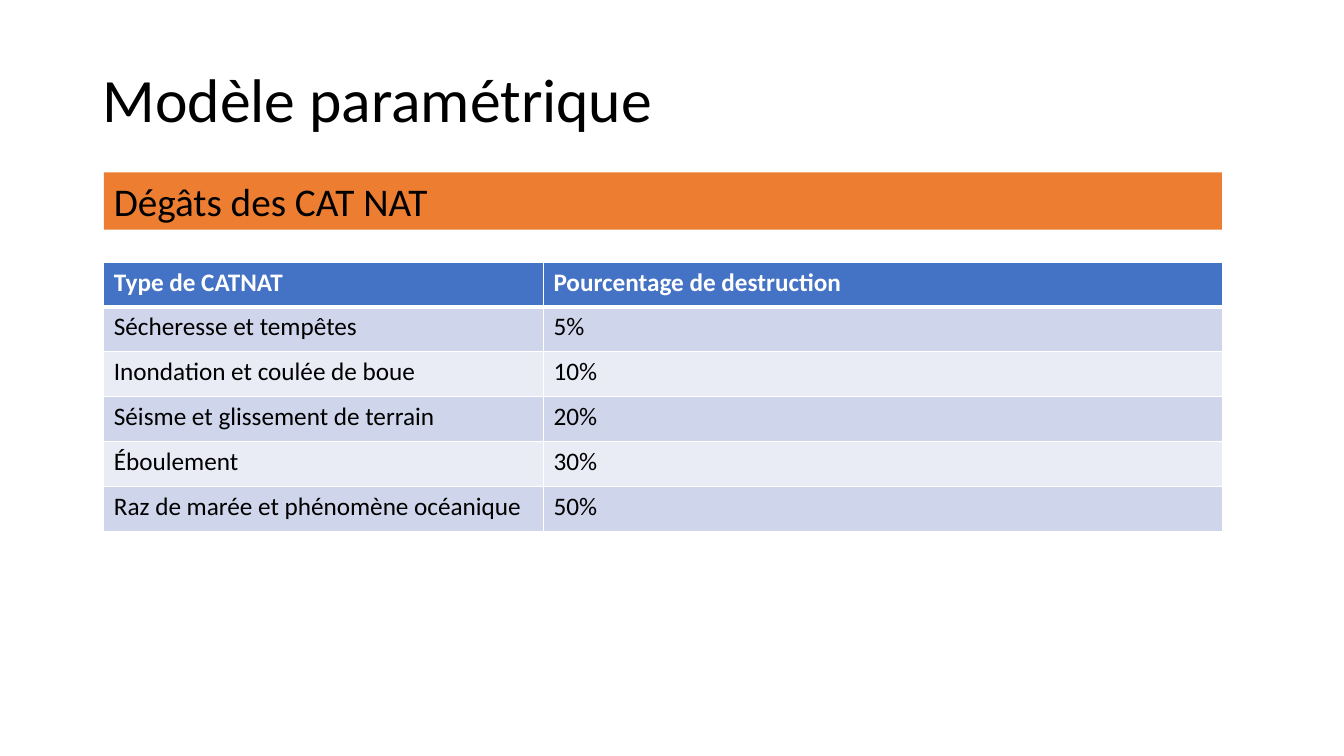
from dataclasses import dataclass

from lxml import etree
from pptx import Presentation
from pptx.dml.color import RGBColor
from pptx.enum.shapes import MSO_SHAPE
from pptx.enum.text import MSO_ANCHOR, PP_ALIGN
from pptx.oxml.ns import qn
from pptx.slide import Slide
from pptx.table import _Cell
from pptx.text.text import TextFrame
from pptx.util import Inches, Pt

RECTANGLE = MSO_SHAPE.RECTANGLE
MIDDLE = MSO_ANCHOR.MIDDLE
LEFT = PP_ALIGN.LEFT

WIDTH, HEIGHT = 13.33, 7.5
FONT = "Calibri"
BLACK, WHITE = "000000", "FFFFFF"
ORANGE, BLUE = "ED7D31", "4472C4"
BANDS = ("CFD5EA", "E9EBF5")
THIN, THICK = 1, 3


@dataclass(frozen=True)
class Box:
    left: float
    top: float
    width: float
    height: float

    def lengths(self) -> tuple[int, int, int, int]:
        return (Inches(self.left * WIDTH), Inches(self.top * HEIGHT),
                Inches(self.width * WIDTH), Inches(self.height * HEIGHT))


@dataclass(frozen=True)
class Damage:
    kind: str
    share: str


TITLE_BOX = Box(0.92 / WIDTH, 0.4 / HEIGHT, 11.5 / WIDTH, 1.23 / HEIGHT)
BANNER_BOX = Box(1.03 / WIDTH, 1.71 / HEIGHT, 11.09 / WIDTH, 0.57 / HEIGHT)
TABLE_BOX = Box(1.03 / WIDTH, 2.6 / HEIGHT, 11.1 / WIDTH, 2.67 / HEIGHT)
KIND_SHARE = 4.36 / 11.1

HEADER = Damage("Type de CATNAT", "Pourcentage de destruction")
DAMAGES = (
    Damage("Sécheresse et tempêtes", "5%"),
    Damage("Inondation et coulée de boue", "10%"),
    Damage("Séisme et glissement de terrain", "20%"),
    Damage("Éboulement", "30%"),
    Damage("Raz de marée et phénomène océanique", "50%"),
)


def rgb(value: str) -> RGBColor:
    return RGBColor.from_string(value)


def write(tf: TextFrame, text: str, size: float, color: str = BLACK, bold: bool = False) -> None:
    p = tf.paragraphs[0]
    p.text = text
    p.alignment = LEFT
    p.font.name = FONT
    p.font.size = Pt(size)
    p.font.bold = bold
    p.font.color.rgb = rgb(color)


def add_title(s: Slide, text: str) -> None:
    tf = s.shapes.add_textbox(*TITLE_BOX.lengths()).text_frame
    tf.word_wrap = True
    tf.vertical_anchor = MIDDLE
    write(tf, text, 44)
    tf.paragraphs[0].line_spacing = 0.9


def add_banner(s: Slide, text: str) -> None:
    sp = s.shapes.add_shape(RECTANGLE, *BANNER_BOX.lengths())
    sp.shadow.inherit = False
    sp.fill.solid()
    sp.fill.fore_color.rgb = rgb(ORANGE)
    sp.line.fill.background()
    sp.text_frame.word_wrap = True
    sp.text_frame.vertical_anchor = MSO_ANCHOR.TOP
    write(sp.text_frame, text, 28)


def set_borders(cell: _Cell, top: float, bottom: float) -> None:
    tc_pr = cell._tc.get_or_add_tcPr()
    for side, width in (("L", THIN), ("R", THIN), ("T", top), ("B", bottom)):
        line = etree.SubElement(tc_pr, qn(f"a:ln{side}"), w=str(Pt(width)))
        fill = etree.SubElement(line, qn("a:solidFill"))
        etree.SubElement(fill, qn("a:srgbClr"), val=WHITE)


def add_damage_table(s: Slide, rows: tuple[Damage, ...]) -> None:
    table = s.shapes.add_table(len(rows), 2, *TABLE_BOX.lengths()).table
    for column, share in zip(table.columns, (KIND_SHARE, 1 - KIND_SHARE)):
        column.width = Inches(TABLE_BOX.width * WIDTH * share)
    for i, row in enumerate(rows):
        is_header = i == 0
        for j, text in enumerate((row.kind, row.share)):
            cell = table.cell(i, j)
            set_borders(cell, THICK if i == 1 else THIN, THICK if is_header else THIN)
            cell.fill.solid()
            cell.fill.fore_color.rgb = rgb(BLUE if is_header else BANDS[(i - 1) % 2])
            write(cell.text_frame, text, 18, WHITE if is_header else BLACK, is_header)


def main() -> None:
    prs = Presentation()
    prs.slide_width, prs.slide_height = Inches(WIDTH), Inches(HEIGHT)
    s = prs.slides.add_slide(prs.slide_layouts[6])
    add_title(s, "Modèle paramétrique")
    add_damage_table(s, (HEADER, *DAMAGES))
    add_banner(s, "Dégâts des CAT NAT")
    prs.save("out.pptx")


if __name__ == "__main__":
    main()
